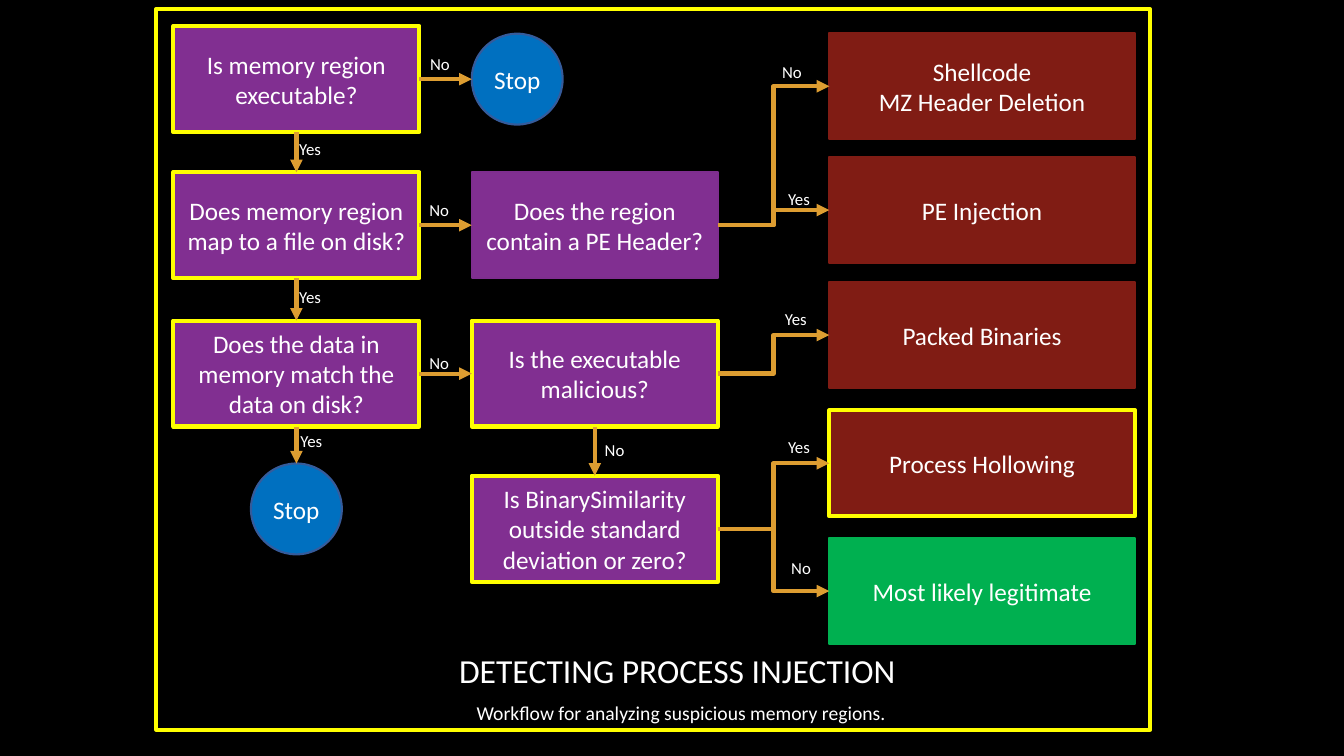
import pptx
import pptx.util
import pptx.dml.color
import pptx.enum.shapes
import pptx.enum.text
import pptx.oxml
import pptx.oxml.ns

Cm, Pt = pptx.util.Cm, pptx.util.Pt
SHAPE = pptx.enum.shapes.MSO_SHAPE
CONNECTOR = pptx.enum.shapes.MSO_CONNECTOR
ANCHOR = pptx.enum.text.MSO_ANCHOR
ALIGN = pptx.enum.text.PP_ALIGN

COLORS = {
    "background": "000000", "text": "FFFFFF", "highlight": "FFFF00",
    "arrow": "DD9D31", "question": "812F91", "question edge": "7F2E8F",
    "threat": "801C14", "safe": "00B050", "stop": "0070C0", "stop edge": "355B9B",
}
FONT = "Calibri"

TITLE = "DETECTING PROCESS INJECTION"
SUBTITLE = "Workflow for analyzing suspicious memory regions."

QUESTION_COLUMNS = [4.37, 11.89]
QUESTION_ROWS = [0.66, 4.34, 8.08, 11.99]
OUTCOME_LEFT = 20.9
OUTCOME_ROWS = [0.84, 3.96, 7.11, 10.34, 13.56]
QUESTION_WIDTH, OUTCOME_WIDTH, BOX_HEIGHT = 6.2, 7.7, 2.67
STOP_SIZE, LAST_STOP_TOP = 2.29, 11.68
LABEL_WIDTH, LABEL_HEIGHT = 1.3, 0.76

QUESTIONS = {
    "executable": ("Is memory region executable?", 0, 0, True),
    "mapped": ("Does memory region map to a file on disk?", 0, 1, True),
    "match": ("Does the data in memory match the data on disk?", 0, 2, True),
    "header": ("Does the region contain a PE Header?", 1, 1, False),
    "malicious": ("Is the executable malicious?", 1, 2, True),
    "similarity": ("Is BinarySimilarity outside standard deviation or zero?", 1, 3, True),
}
OUTCOMES = {
    "shellcode": ("Shellcode\nMZ Header Deletion", "threat", False),
    "injection": ("PE Injection", "threat", False),
    "packed": ("Packed Binaries", "threat", False),
    "hollowing": ("Process Hollowing", "threat", True),
    "legitimate": ("Most likely legitimate", "safe", False),
}
BRANCHES = [
    ("executable", "first stop", "right", "No", 10.59, 1.24),
    ("executable", "mapped", "down", "Yes", 7.29, 3.38),
    ("mapped", "header", "right", "No", 10.57, 4.9),
    ("mapped", "match", "down", "Yes", 7.29, 7.09),
    ("match", "malicious", "right", "No", 10.57, 8.76),
    ("match", "last stop", "down", "Yes", 7.32, 10.74),
    ("malicious", "similarity", "down", "No", 14.99, 10.95),
    ("header", "shellcode", "elbow", "No", 19.46, 1.42),
    ("header", "injection", "elbow", "Yes", 19.61, 4.62),
    ("malicious", "packed", "elbow", "Yes", 19.53, 7.65),
    ("similarity", "hollowing", "elbow", "Yes", 19.61, 10.87),
    ("similarity", "legitimate", "elbow", "No", 19.69, 13.92),
]


def color(name):
    return pptx.dml.color.RGBColor.from_string(COLORS[name])


def write(shape, text, size, align=ALIGN.CENTER, anchor=ANCHOR.MIDDLE):
    frame = shape.text_frame
    frame.text = text
    frame.word_wrap = True
    frame.vertical_anchor = anchor
    for paragraph in frame.paragraphs:
        paragraph.alignment = align
        for run in paragraph.runs:
            run.font.name = FONT
            run.font.size = Pt(size)
            run.font.color.rgb = color("text")


def add_box(slide, kind, left, top, width, height, fill, edge, edge_width):
    box = slide.shapes.add_shape(kind, Cm(left), Cm(top), Cm(width), Cm(height))
    box.shadow.inherit = False
    if fill:
        box.fill.solid()
        box.fill.fore_color.rgb = color(fill)
    else:
        box.fill.background()
    box.line.color.rgb = color(edge)
    box.line.width = Pt(edge_width)
    return box


def add_text(slide, text, left, top, width, height, size, **style):
    box = slide.shapes.add_textbox(Cm(left), Cm(top), Cm(width), Cm(height))
    write(box, text, size, **style)
    return box


def add_step(slide, text, left, top, width, fill, edge, marked):
    edge, edge_width = ("highlight", 3) if marked else (edge, 1.5)
    step = add_box(slide, SHAPE.FLOWCHART_PROCESS, left, top, width, BOX_HEIGHT,
                   fill, edge, edge_width)
    write(step, text, 18)
    return step


def add_stop(slide, left, top):
    stop = add_box(slide, SHAPE.FLOWCHART_CONNECTOR, left, top, STOP_SIZE, STOP_SIZE,
                   "stop", "stop edge", 1.5)
    write(stop, "Stop", 18)
    frame = stop.text_frame
    frame.margin_left = frame.margin_right = frame.margin_top = frame.margin_bottom = 0
    return stop


def add_arrow(slide, source, target, direction):
    kind = CONNECTOR.ELBOW if direction == "elbow" else CONNECTOR.STRAIGHT
    arrow = slide.shapes.add_connector(
        kind, source.left + source.width, source.top + source.height // 2,
        target.left, target.top + target.height // 2)
    start_side, end_side = (2, 0) if direction == "down" else (3, 1)
    arrow.begin_connect(source, start_side)
    target_is_box = target.auto_shape_type == SHAPE.FLOWCHART_PROCESS
    if target_is_box or direction == "down":
        arrow.end_connect(target, end_side)
    arrow.line.color.rgb = color("arrow")
    arrow.line.width = Pt(3)
    head = pptx.oxml.parse_xml(
        f'<a:tailEnd {pptx.oxml.ns.nsdecls("a")} type="triangle"/>')
    arrow.line._get_or_add_ln().append(head)
    arrow._element.spPr.append(
        pptx.oxml.parse_xml(f'<a:effectLst {pptx.oxml.ns.nsdecls("a")}/>'))


def main():
    deck = pptx.Presentation()
    deck.slide_width, deck.slide_height = Cm(33.87), Cm(19.05)
    slide = deck.slides.add_slide(deck.slide_layouts[6])
    slide.background.fill.solid()
    slide.background.fill.fore_color.rgb = color("background")

    add_text(slide, TITLE, 3, 15.95, 28.14, 1.57, 24, anchor=ANCHOR.BOTTOM)
    add_text(slide, SUBTITLE, 3.1, 17.53, 28.14, 1.37, 14, anchor=ANCHOR.TOP)

    steps = {}
    for name, (text, column, row, marked) in QUESTIONS.items():
        steps[name] = add_step(slide, text, QUESTION_COLUMNS[column], QUESTION_ROWS[row],
                               QUESTION_WIDTH, "question", "question edge", marked)
    for (name, (text, verdict, marked)), top in zip(OUTCOMES.items(), OUTCOME_ROWS):
        steps[name] = add_step(slide, text, OUTCOME_LEFT, top,
                               OUTCOME_WIDTH, verdict, verdict, marked)
    steps["first stop"] = add_stop(
        slide, QUESTION_COLUMNS[1], QUESTION_ROWS[0] + (BOX_HEIGHT - STOP_SIZE) / 2)
    steps["last stop"] = add_stop(
        slide, QUESTION_COLUMNS[0] + (QUESTION_WIDTH - STOP_SIZE) / 2, LAST_STOP_TOP)

    for source, target, direction, answer, left, top in BRANCHES:
        add_arrow(slide, steps[source], steps[target], direction)
        label = add_text(slide, answer, left, top, LABEL_WIDTH, LABEL_HEIGHT, 12,
                         align=ALIGN.LEFT, anchor=ANCHOR.TOP)
        label.text_frame.auto_size = pptx.enum.text.MSO_AUTO_SIZE.SHAPE_TO_FIT_TEXT

    add_box(slide, SHAPE.RECTANGLE, 3.94, 0.23, 25.04, 18.16, None, "highlight", 3)
    deck.save("out.pptx")


if __name__ == "__main__":
    main()
